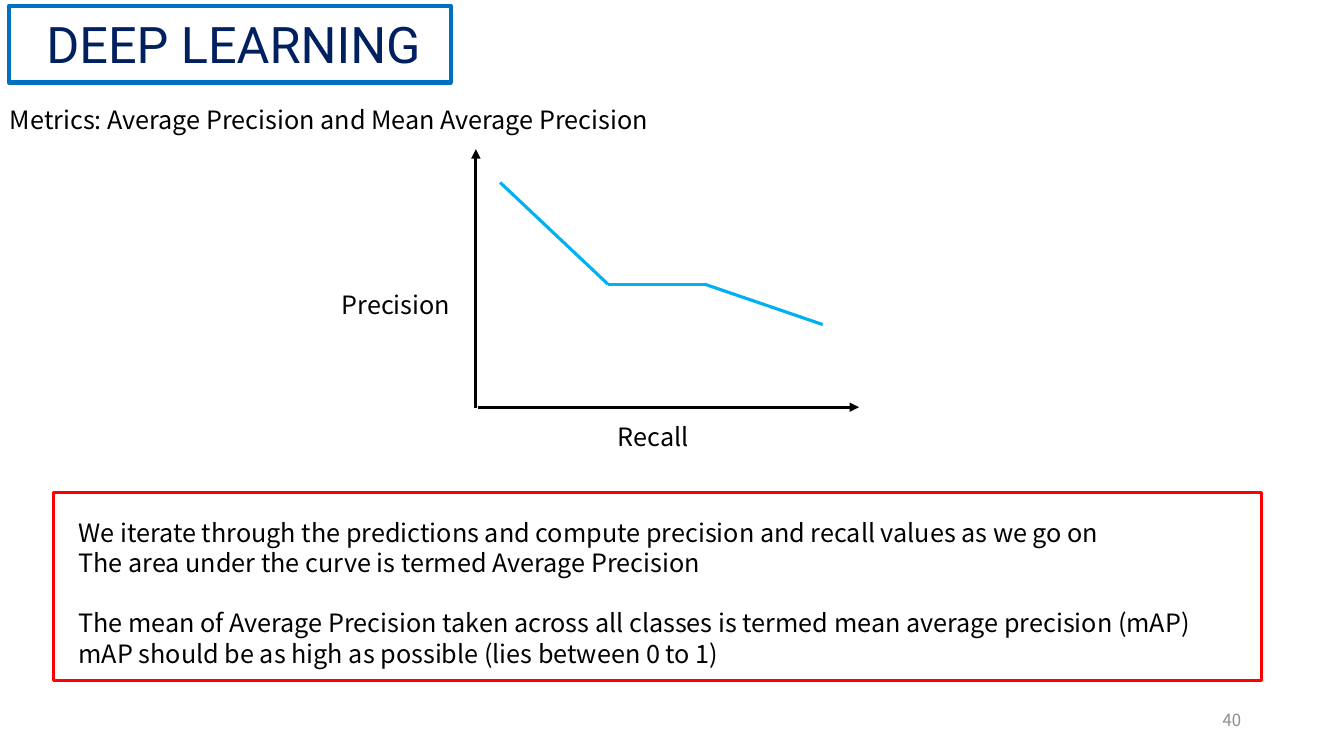
from itertools import pairwise

from lxml import etree
from pptx import Presentation
from pptx import util as u
from pptx.dml.color import RGBColor
from pptx.enum import shapes, text
from pptx.oxml.ns import qn

PX = u.Inches(1) // 100
NAVY = RGBColor(0x00, 0x20, 0x60)
BLUE = RGBColor(0x00, 0x70, 0xC0)
SKY = RGBColor(0x00, 0xB0, 0xF0)
RED = RGBColor(0xFF, 0x00, 0x00)
BLACK = RGBColor(0x00, 0x00, 0x00)
GREY = RGBColor(0x8C, 0x8C, 0x8C)


class SlideBuilder:
    title_font = "Roboto"
    body_font = "Noto Sans CJK SC"
    line_pitch = 21.6

    def __init__(self, slide):
        self.slide = slide

    def scaled(self, *lengths):
        return [length * PX for length in lengths]

    def style(self, paragraph, font_name, size, color):
        for run in paragraph.runs:
            run.font.name = font_name
            run.font.size = u.Pt(size)
            run.font.color.rgb = color

    def title(self, wording, *box):
        heading = self.slide.shapes.title
        heading.left, heading.top, heading.width, heading.height = self.scaled(*box)
        frame = heading.text_frame
        frame.text = wording
        frame.auto_size = text.MSO_AUTO_SIZE.NONE
        frame.vertical_anchor = text.MSO_ANCHOR.TOP
        frame.paragraphs[0].alignment = text.PP_ALIGN.LEFT
        self.style(frame.paragraphs[0], self.title_font, 36, NAVY)

    def label(self, wording, *box, size=18, color=BLACK,
              align=text.PP_ALIGN.LEFT, anchor=text.MSO_ANCHOR.TOP):
        frame = self.slide.shapes.add_textbox(*self.scaled(*box)).text_frame
        frame.word_wrap = True
        frame.vertical_anchor = anchor
        frame.text = wording
        for paragraph in frame.paragraphs:
            paragraph.alignment = align
            paragraph.line_spacing = u.Pt(self.line_pitch * size / 18)
            self.style(paragraph, self.body_font, size, color)
        return frame

    def outline(self, color, weight, *box):
        border = self.slide.shapes.add_shape(
            shapes.MSO_SHAPE.RECTANGLE, *self.scaled(*box))
        border.shadow.inherit = False
        border.fill.background()
        border.line.color.rgb = color
        border.line.width = u.Pt(weight)

    def line(self, start, end, color, arrow=False):
        connector = self.slide.shapes.add_connector(
            shapes.MSO_CONNECTOR.STRAIGHT, *self.scaled(*start, *end))
        connector.line.color.rgb = color
        connector.line.width = u.Pt(2.25)
        properties = connector._element.spPr
        if arrow:
            etree.SubElement(properties.find(qn("a:ln")), qn("a:tailEnd"),
                             type="triangle")
        etree.SubElement(properties, qn("a:effectLst"))


def main():
    deck = Presentation()
    deck.slide_width, deck.slide_height = 1333 * PX, 750 * PX
    builder = SlideBuilder(deck.slides.add_slide(deck.slide_layouts[5]))

    builder.title("DEEP LEARNING", 36, 8, 552, 71)
    builder.outline(BLUE, 3, 9, 6, 438, 76)
    builder.label("40", 941, 694, 300, 40, size=12, color=GREY,
                  align=text.PP_ALIGN.RIGHT, anchor=text.MSO_ANCHOR.MIDDLE)
    builder.label("Metrics: Average Precision and Mean Average Precision",
                  0, 99, 885, 40)
    builder.outline(RED, 2.25, 53, 489, 1198, 186)

    builder.line((472, 405), (472, 148), BLACK, arrow=True)
    builder.line((474, 404), (852, 404), BLACK, arrow=True)
    builder.label("Recall", 603, 413, 128, 40)
    builder.label("Precision", 329, 282, 128, 40)
    curve = [(496, 181), (603, 282), (699, 282), (816, 322)]
    for start, end in pairwise(curve):
        builder.line(start, end, SKY)

    summary = builder.label(
        "We iterate through the predictions and compute precision and recall values as we go on\n"
        "The area under the curve is termed Average Precision\n"
        "The mean of Average Precision taken across all classes is termed mean average precision (mAP)\n"
        "mAP should be as high as possible (lies between 0 to 1)",
        68, 508, 1164, 162)
    summary.paragraphs[2].space_before = u.Pt(builder.line_pitch)

    deck.save("out.pptx")


if __name__ == "__main__":
    main()
